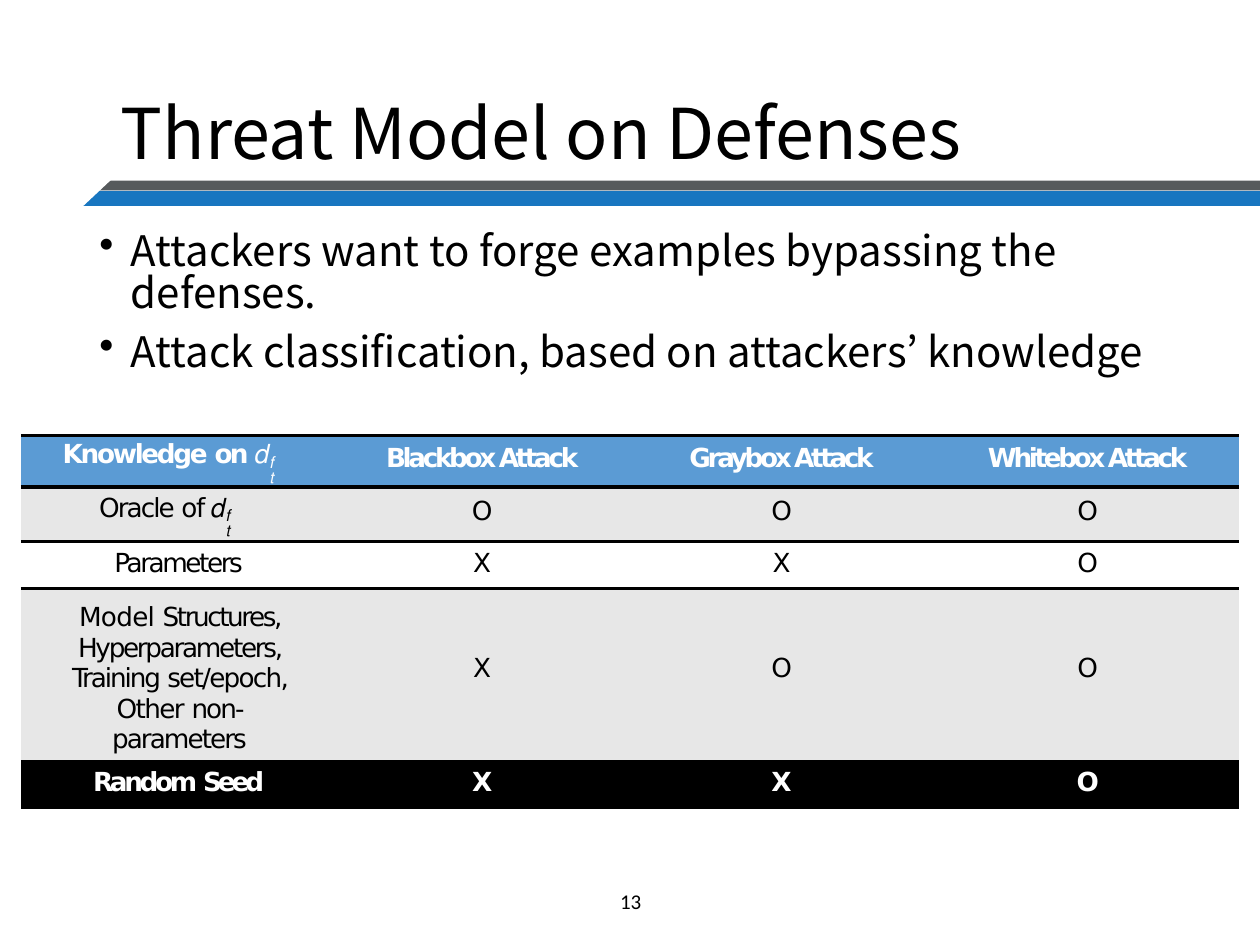
from lxml.etree import SubElement
from pptx import Presentation
from pptx.dml.color import RGBColor
from pptx.enum.shapes import MSO_SHAPE as Shape
from pptx.enum.text import MSO_ANCHOR as Anchor, PP_ALIGN as Align
from pptx.oxml import parse_xml
from pptx.oxml.ns import nsdecls, qn
from pptx.util import Pt

BLACK = RGBColor(0x00, 0x00, 0x00)
WHITE = RGBColor(0xFF, 0xFF, 0xFF)
BLUE = RGBColor(0x18, 0x76, 0xC0)
SLATE = RGBColor(0x56, 0x5A, 0x5C)
SKY = RGBColor(0x5B, 0x9B, 0xD4)
PALE = RGBColor(0xE7, 0xE7, 0xE7)
SANS, MONO, PAGE = "Noto Sans CJK KR", "DejaVu Sans", "Calibri"
PLAIN = "{2D5ABB26-0587-4C30-8999-92F81FD0307C}"  # no style, no grid


class Deck:
    def __init__(self, wide, high):
        self.prs = Presentation()
        self.prs.slide_width, self.prs.slide_height = Pt(wide), Pt(high)
        self.slide = self.prs.slides.add_slide(self.prs.slide_layouts[6])

    def rect(self, x, y, w, h, fill, turn=0):
        box = self.slide.shapes.add_shape(
            Shape.RECTANGLE, Pt(x), Pt(y), Pt(w), Pt(h))
        box.shadow.inherit = False
        box.fill.solid()
        box.fill.fore_color.rgb = fill
        box.line.fill.background()
        box.rotation = turn

    def run(self, para, text, size, font, ink=BLACK, bold=False, gap=0, base=0):
        run = para.add_run()
        run.text = text
        run.font.size, run.font.name = Pt(size), font
        run.font.bold = bold
        run.font.color.rgb = ink
        props = run.font._element
        if gap:
            props.set("spc", str(round(gap * 100)))
        if base:
            props.set("baseline", str(base * 1000))

    def text(self, x, y, w, h, lines, size, font, anchor=Anchor.TOP,
             align=Align.LEFT, lead=1.0, bullet=False):
        frame = self.slide.shapes.add_textbox(
            Pt(x), Pt(y), Pt(w), Pt(h)).text_frame
        frame.word_wrap = True
        frame.vertical_anchor = anchor
        for i, line in enumerate(lines):
            para = frame.paragraphs[0] if i == 0 else frame.add_paragraph()
            para.alignment, para.line_spacing = align, lead
            if bullet:
                para.space_before = Pt(10 if i else 0)
                props = para._p.get_or_add_pPr()
                props.set("marL", str(Pt(18)))
                props.set("indent", str(-Pt(18)))
                SubElement(props, qn("a:buChar")).set("char", "•")
            self.run(para, line, size, font)

    def table(self, x, y, cols, rows):
        grid = self.slide.shapes.add_table(
            len(rows), len(cols), Pt(x), Pt(y), Pt(sum(cols)), Pt(sum(rows))).table
        grid.first_row = grid.horz_banding = False
        grid._tbl.tblPr.find(qn("a:tableStyleId")).text = PLAIN
        for col, w in zip(grid.columns, cols):
            col.width = Pt(w)
        for row, h in zip(grid.rows, rows):
            row.height = Pt(h)
        return grid

    def cell(self, cell, lines, fill, ink, bold, pads, anchor=Anchor.TOP,
             align=Align.CENTER, leads=(1.0,)):
        (cell.margin_left, cell.margin_top,
         cell.margin_right, cell.margin_bottom) = map(Pt, pads)
        cell.vertical_anchor = anchor
        cell.fill.solid()
        cell.fill.fore_color.rgb = fill
        frame = cell.text_frame
        for i, (line, lead) in enumerate(zip(lines, leads)):
            para = frame.paragraphs[0] if i == 0 else frame.add_paragraph()
            para.alignment, para.line_spacing = align, lead
            for text, gap, *rest in line:
                look = dict(size=15, font=MONO, ink=ink, bold=bold, gap=gap)
                self.run(para, text, **(look | (rest[0] if rest else {})))

    def rule(self, cell, *sides):
        for side in sorted(sides):  # bottom goes in first, top lands before it
            cell._tc.get_or_add_tcPr().insert(0, parse_xml(
                f'<a:ln{side} {nsdecls("a")} w="{Pt(2.25)}"><a:solidFill>'
                f'<a:srgbClr val="{BLACK}"/></a:solidFill></a:ln{side}>'))


def main():
    deck = Deck(720, 540)

    # Title bands with a slanted end
    deck.rect(11.5, 109.1, 708.5, 8.6, BLUE)
    deck.rect(11.5, 103.3, 708.5, 5.5, SLATE)
    deck.rect(23, 54, 40.3, 80.6, WHITE, 46.8)

    # Title, points and page number
    deck.text(49.7, 129.5, 620.6, 341, [
        "Attackers want to forge examples bypassing the defenses.",
        "Attack classification, based on attackers’ knowledge",
    ], 24, SANS, lead=0.83, bullet=True)
    deck.text(279.4, 500.4, 162, 28.8, ["13"], 12, PAGE, Anchor.MIDDLE,
              Align.CENTER)
    deck.text(61.9, 33.8, 620.6, 69.8, ["Threat Model on Defenses"], 40, SANS,
              Anchor.BOTTOM, lead=0.9)

    # Row labels: paragraphs of (text, spacing, changes)
    sign = [("𝑓", -1, dict(size=16, bold=False, base=-15))]
    sub = [("𝑡", 0, dict(size=9, bold=False))]
    know = [("Knowledge ", -1.3), ("on ", -1.6), ("𝑑", -0.7, dict(bold=False))]
    oracle = [("Oracle ", -1.1), ("of 𝑑", -0.7)]
    model = [("Model ", -0.4), ("Structures, ", -1.4),
             ("Hyperparameters, ", -1.3), ("Training ", -1.2),
             ("set/epoch, ", -1), ("Other ", -0.9), ("non-parameters", -1.1)]
    heads = [[(f"{kind}box Attack", -1.9)] for kind in ("Black", "Gray", "White")]

    def marks(text):
        return [[(mark, 0)] for mark in text]

    # height, fill, ink, bold, label, label pads, marks, mark top
    rows = [
        (29.5, SKY, WHITE, True, [know + sign, sub], (0, 3, 42, 0), heads, 4.5),
        (31, PALE, BLACK, False, [oracle + sign, sub], (0, 4, 67, 0),
         marks("OOO"), 5),
        (27, WHITE, BLACK, False, [[("Parameters", -1.4)]], (0, 4, 7, 0),
         marks("XXO"), 4),
        (97, PALE, BLACK, False, [model], (18, 8, 24, 0), marks("XOO"), 0),
        (28, BLACK, WHITE, True, [[("Random ", -1.9), ("Seed", -2.3)]],
         (0, 4, 7, 0), marks("XXO"), 4),
    ]

    # Knowledge table
    grid = deck.table(12, 248.8, [187.2, 164.2, 168.5, 176.4],
                      [row[0] for row in rows])
    sides = [((0, 11.5), (0, 2), (3, 0))[i] for i in range(3)]
    for r, (_, fill, ink, bold, label, pads, items, top) in enumerate(rows):
        two = len(label) == 2
        deck.cell(grid.cell(r, 0), label, fill, ink, bold, pads,
                  align=Align.RIGHT if two else Align.CENTER,
                  leads=(Pt(17.8), Pt(8.8)) if two else (1.0,))
        tall = top == 0
        for c, (item, (left, right)) in enumerate(zip(items, sides), 1):
            deck.cell(grid.cell(r, c), [item], fill, ink, bold,
                      (left, top, right, 7 if tall else 0),
                      Anchor.MIDDLE if tall else Anchor.TOP)
        for c in range(4):
            deck.rule(grid.cell(r, c), *("TB", "TB", "T", "", "")[r])

    deck.prs.save("out.pptx")


if __name__ == "__main__":
    main()
